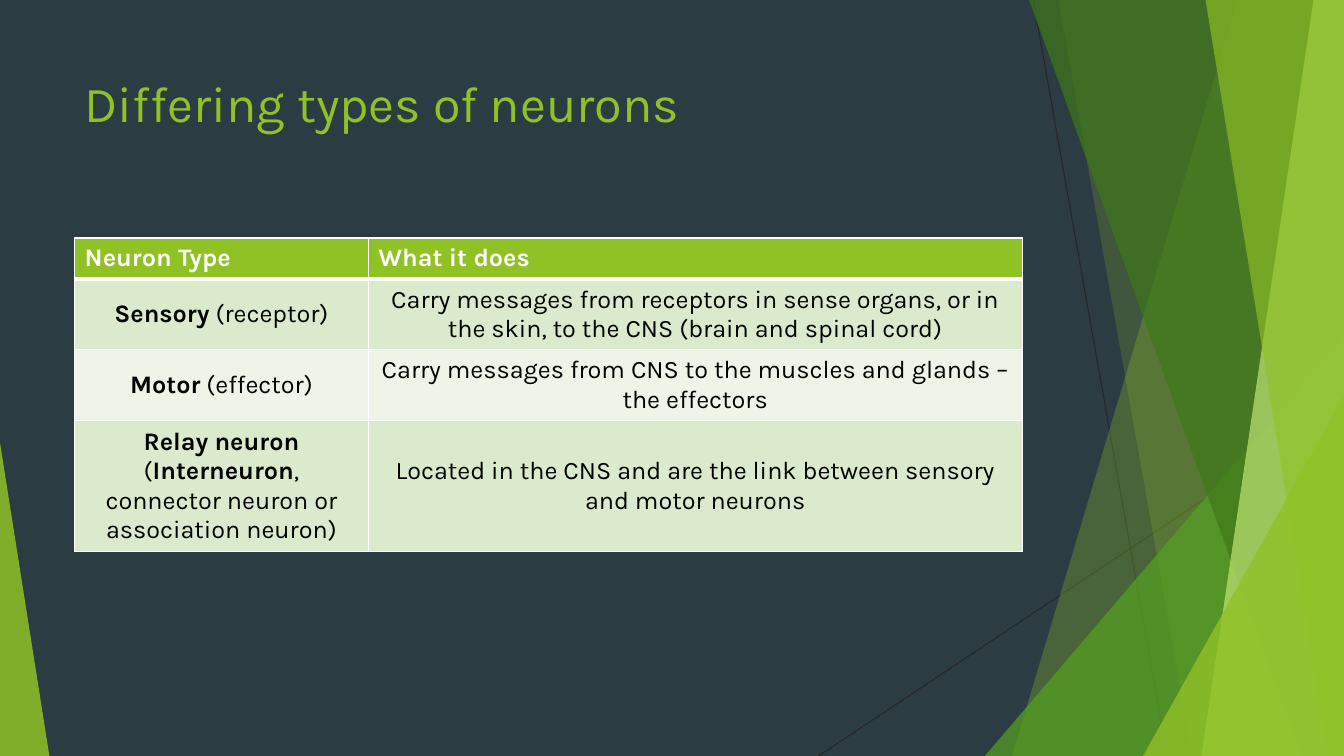
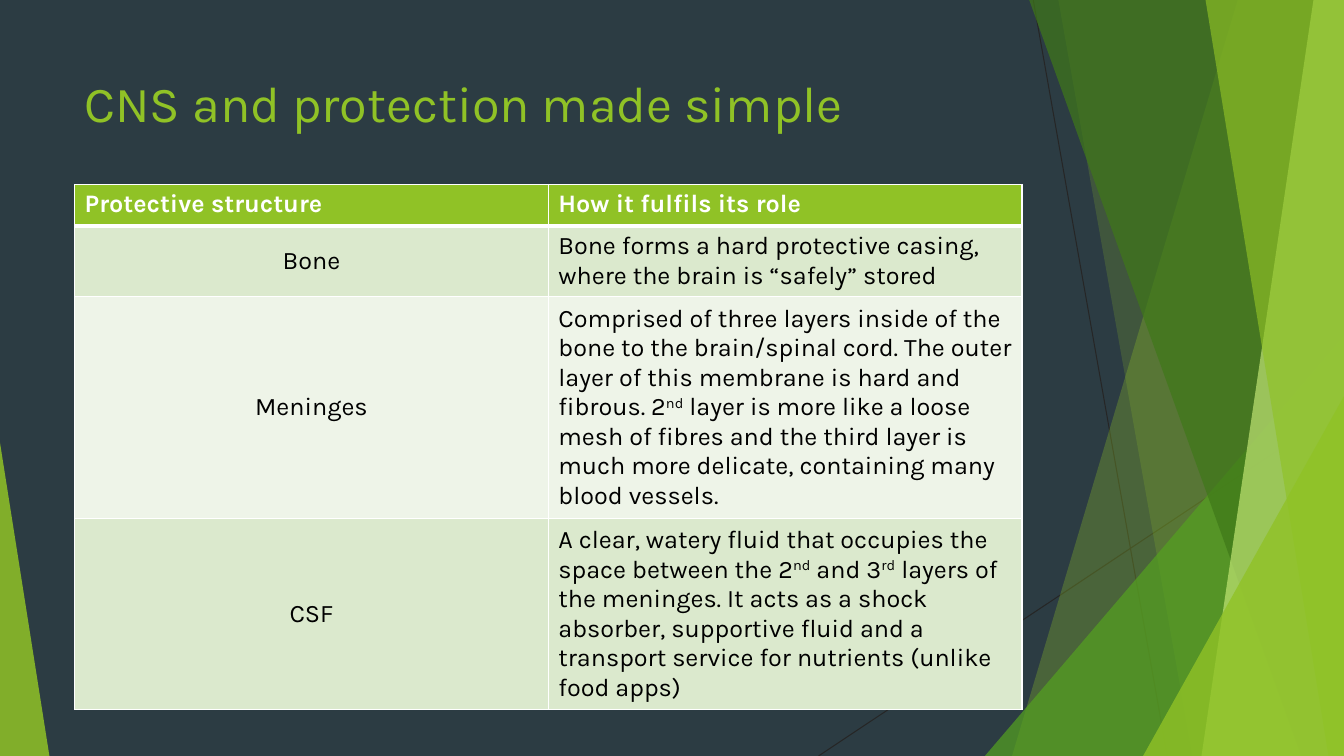
from lxml.etree import SubElement
from pptx import Presentation
from pptx.dml.color import RGBColor
from pptx.enum.shapes import MSO_CONNECTOR, MSO_SHAPE
from pptx.enum.text import MSO_ANCHOR, PP_ALIGN
from pptx.oxml.ns import qn
from pptx.util import Inches, Pt

WIDTH, HEIGHT = Inches(13.333), Inches(7.5)
FONT = "Karla"
SLATE = RGBColor(0x2C, 0x3C, 0x43)
LIME = RGBColor(0x90, 0xC2, 0x26)
GREEN = RGBColor(0x54, 0xA0, 0x21)
FOREST = RGBColor(0x3F, 0x78, 0x19)
PALE = RGBColor(0xC0, 0xE4, 0x74)
INK = RGBColor(0x26, 0x26, 0x26)
BLACK = RGBColor(0, 0, 0)
WHITE = RGBColor(0xFF, 0xFF, 0xFF)
BANDS = (RGBColor(0xDB, 0xE9, 0xCD), RGBColor(0xEE, 0xF4, 0xE8))

LEFT, SPAN = 5.55, 70.5  # text column, on a grid of 100 columns by 100 rows
TITLE_TOP, TITLE_TALL = 8.93, 13.6


def col(n):
    return round(WIDTH * n / 100)


def row(n):
    return round(HEIGHT * n / 100)


def tint(shape, color, alpha):
    """Fill a shape with a see-through colour, alpha in percent."""
    shape.shadow.inherit = False
    shape.line.fill.background()
    shape.fill.solid()
    shape.fill.fore_color.rgb = color
    paint = shape._element.spPr.find(qn("a:solidFill"))[0]
    SubElement(paint, qn("a:alpha"), val=str(alpha * 1000))


def add_ray(slide, x1, y1, x2, y2):
    ray = slide.shapes.add_connector(
        MSO_CONNECTOR.STRAIGHT, col(x1), row(y1), col(x2), row(y2))
    ray.line.color.rgb = INK
    ray.line.width = Pt(0.75)
    SubElement(ray._element.spPr, qn("a:effectLst"))


def add_band(slide, top, base, color, alpha):
    """Full-height band from a slanted left edge to the slide's right edge."""
    pen = slide.shapes.build_freeform(col(top), 0)
    pen.add_line_segments([(WIDTH, 0), (WIDTH, HEIGHT), (col(base), HEIGHT)])
    tint(pen.convert_to_shape(), color, alpha)


def add_peak(slide, left, top, right, tip, color, alpha):
    """Triangle on the slide's bottom edge; tip 0 is left, 1 is right."""
    peak = slide.shapes.add_shape(
        MSO_SHAPE.ISOSCELES_TRIANGLE, col(left), row(top),
        col(right - left), row(100 - top))
    peak.adjustments[0] = tip
    tint(peak, color, alpha)


def add_facets(slide):
    add_ray(slide, 76.88, 0, 86.85, 100)
    add_ray(slide, 100, 53.73, 60.9, 100)
    add_band(slide, 92.1, 75.3, LIME, 30)
    add_band(slide, 78.75, 88.73, LIME, 20)
    add_peak(slide, 73.28, 44.4, 100, 1, GREEN, 72)
    add_band(slide, 76.58, 96.83, FOREST, 70)
    add_band(slide, 97.73, 89.4, PALE, 70)
    add_band(slide, 89.7, 98.85, LIME, 65)
    add_peak(slide, 85.05, 52.4, 100, 1, LIME, 80)
    add_peak(slide, 0, 58.53, 3.68, 0, LIME, 85)


def add_title(slide, text):
    box = slide.shapes.add_textbox(
        col(LEFT), row(TITLE_TOP), col(SPAN), row(TITLE_TALL))
    frame = box.text_frame
    frame.word_wrap = True
    frame.text = text
    font = frame.paragraphs[0].font
    font.name, font.size, font.color.rgb = FONT, Pt(36), LIME


def set_edges(cell, top, base):
    """Draw white cell borders; top and base are widths in points."""
    props = cell._tc.get_or_add_tcPr()
    for side, width in zip("LRTB", (1, 1, top, base)):
        edge = SubElement(props, qn(f"a:ln{side}"), w=str(Pt(width)))
        fill = SubElement(edge, qn("a:solidFill"))
        SubElement(fill, qn("a:srgbClr"), val=str(WHITE))


def make_bold(run):
    run.font.bold = True


def make_super(run):
    run._r.get_or_add_rPr().set("baseline", "30000")


def fill_cell(cell, text, head, align, stress):
    """Write a cell's text; pieces between bars get the stress."""
    para = cell.text_frame.paragraphs[0]
    para.alignment = align
    font = para.font
    font.name, font.size, font.bold = FONT, Pt(18), head
    font.color.rgb = WHITE if head else BLACK
    for i, piece in enumerate(text.split("|")):
        if piece:
            run = para.add_run()
            run.text = piece
            if i % 2:
                stress(run)


def add_grid(slide, top, shares, talls, lines, aligns, stress):
    """Table in the text column; shares split its width, talls are row heights."""
    grid = slide.shapes.add_table(
        len(lines), len(shares), col(LEFT), row(top),
        col(SPAN), row(sum(talls))).table
    grid.horz_banding = False
    for column, share in zip(grid.columns, shares):
        column.width = col(SPAN * share)
    for r, (tall, line) in enumerate(zip(talls, lines)):
        grid.rows[r].height = row(tall)
        head = r == 0
        for c, text in enumerate(line):
            cell = grid.cell(r, c)
            set_edges(cell, 3 if r == 1 else 1, 3 if head else 1)
            cell.fill.solid()
            cell.fill.fore_color.rgb = LIME if head else BANDS[(r - 1) % 2]
            cell.vertical_anchor = MSO_ANCHOR.TOP if head else MSO_ANCHOR.MIDDLE
            align = PP_ALIGN.LEFT if head else aligns[c]
            fill_cell(cell, text, head, align, stress)


def add_page(deck, title, **grid):
    slide = deck.slides.add_slide(deck.slide_layouts[6])
    slide.background.fill.solid()
    slide.background.fill.fore_color.rgb = SLATE
    add_facets(slide)
    add_title(slide, title)
    add_grid(slide, **grid)


NEURONS = (
    ("Neuron Type", "What it does"),
    ("|Sensory| (receptor)",
     "Carry messages from receptors in sense organs, or in the skin, "
     "to the CNS (brain and spinal cord)"),
    ("|Motor| (effector)",
     "Carry messages from CNS to the muscles and glands – the effectors"),
    ("|Relay neuron| (|Interneuron|, connector neuron or association neuron)",
     "Located in the CNS and are the link between sensory and motor neurons"),
)
SHIELDS = (
    ("Protective structure", "How it fulfils its role"),
    ("Bone",
     "Bone forms a hard protective casing, where the brain is “safely” stored"),
    ("Meninges",
     "Comprised of three layers inside of the bone to the brain/spinal cord. "
     "The outer layer of this membrane is hard and fibrous. 2|nd| layer is "
     "more like a loose mesh of fibres and the third layer is much more "
     "delicate, containing many blood vessels."),
    ("CSF",
     "A clear, watery fluid that occupies the space between the 2|nd| and "
     "3|rd| layers of the meninges. It acts as a shock absorber, supportive "
     "fluid and a transport service for nutrients (unlike food apps)"),
)


def main():
    deck = Presentation()
    deck.slide_width, deck.slide_height = WIDTH, HEIGHT
    add_page(deck, "Differing types of neurons", top=31.47,
             shares=(0.31, 0.69), talls=(5.47, 9.2, 9.2, 16.93),
             lines=NEURONS, aligns=(PP_ALIGN.CENTER, PP_ALIGN.CENTER),
             stress=make_bold)
    add_page(deck, "CNS and protection made simple", top=24.4,
             shares=(0.5, 0.5), talls=(5.47, 9.2, 28.8, 24.8),
             lines=SHIELDS, aligns=(PP_ALIGN.CENTER, PP_ALIGN.LEFT),
             stress=make_super)
    deck.save("out.pptx")


if __name__ == "__main__":
    main()
